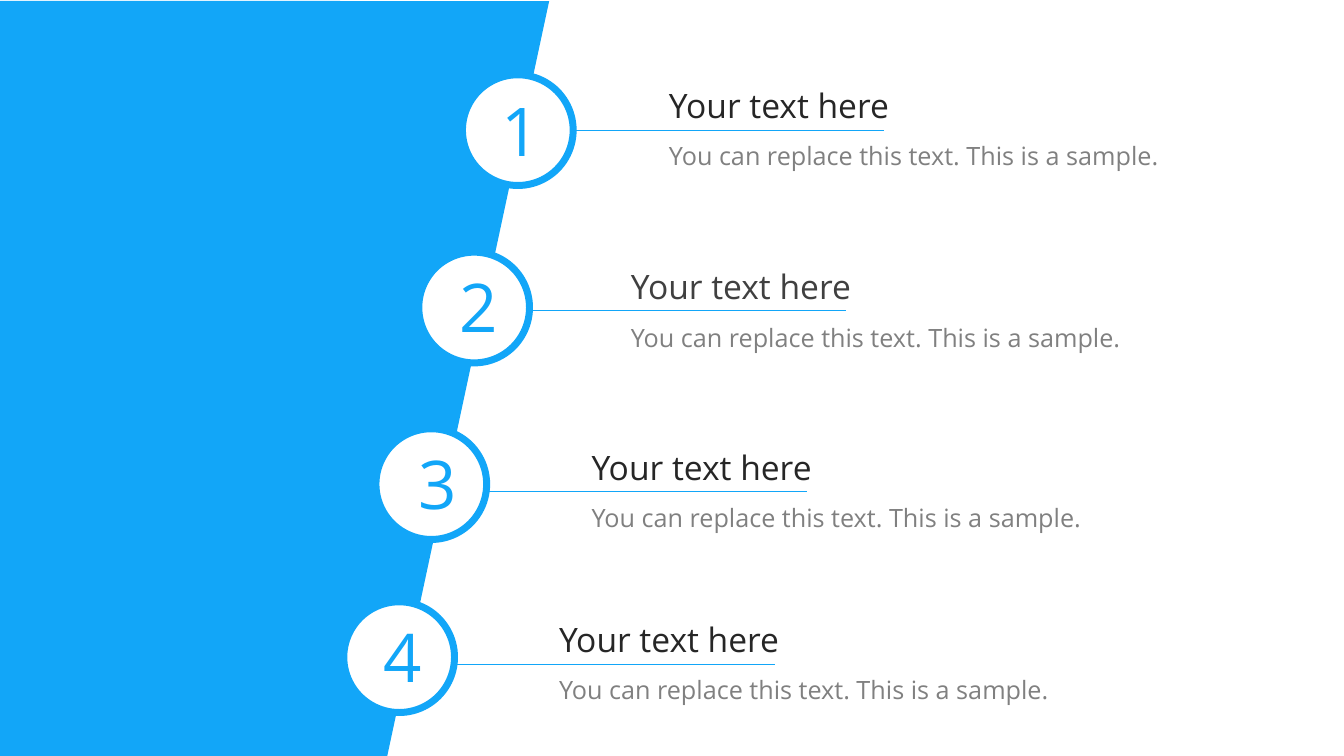
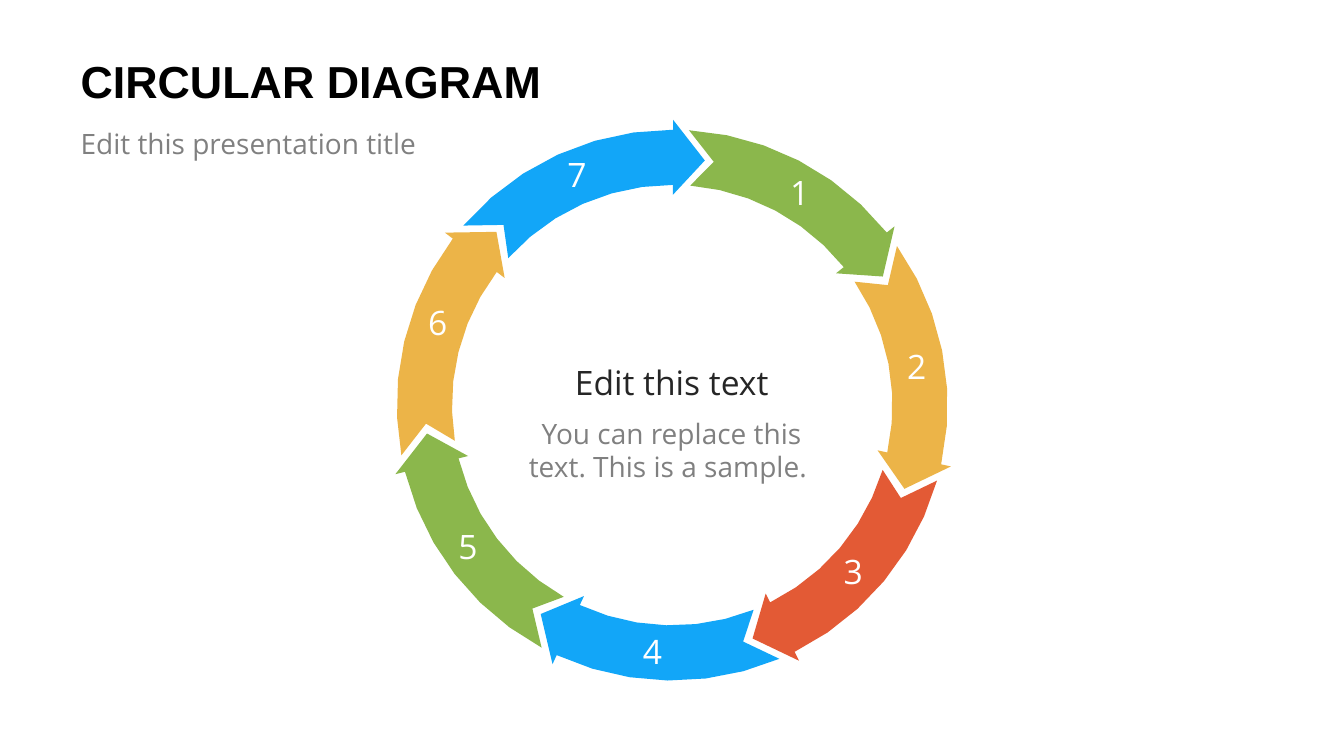
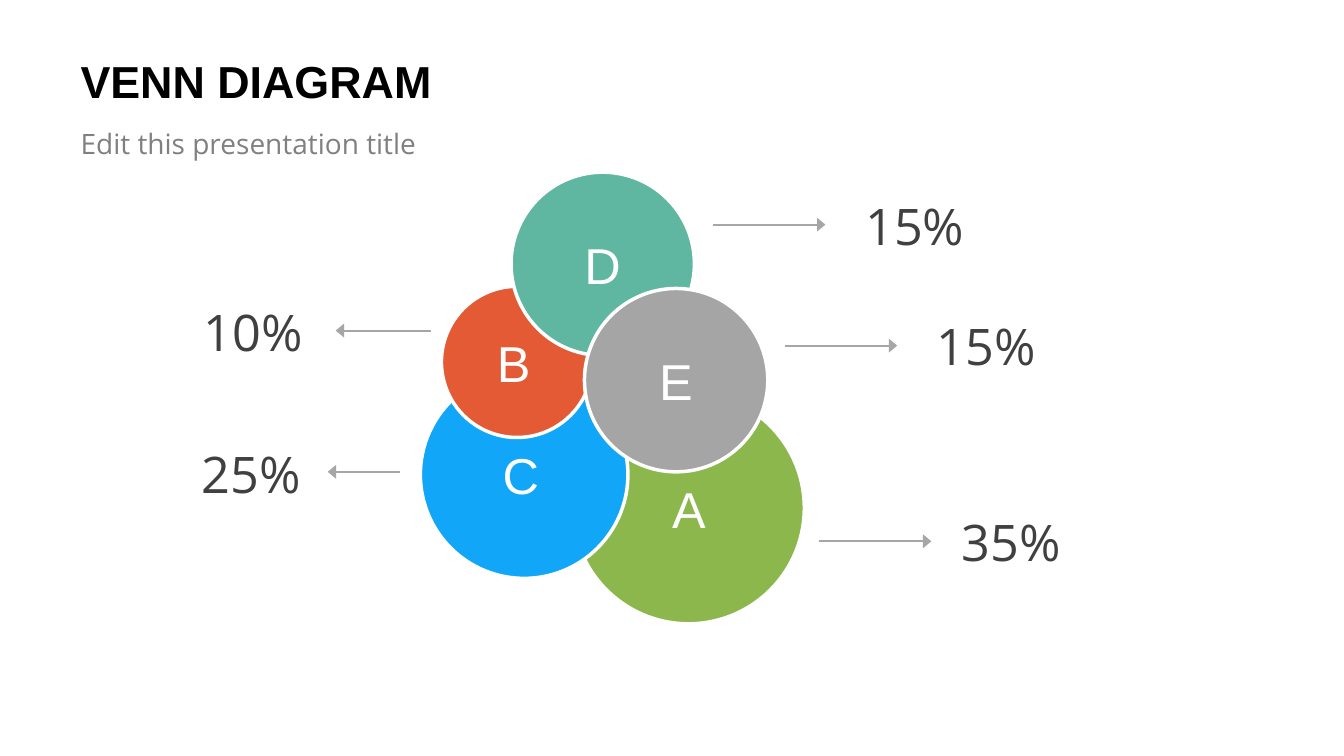
import math
from dataclasses import dataclass

import pptx
import pptx.dml.color
import pptx.enum.shapes
import pptx.enum.text
import pptx.oxml
import pptx.oxml.ns
import pptx.presentation
import pptx.slide
import pptx.util
from pptx.util import Cm

COLORS = {
    "blue": "12A6F8",
    "green": "8BB74C",
    "yellow": "ECB448",
    "red": "E35A35",
    "teal": "5FB7A2",
    "gray": "A5A5A5",
    "arrow": "A6A6A6",
    "caption": "808080",
    "dark": "404040",
    "heading": "262626",
    "black": "000000",
    "white": "FFFFFF",
}
BODY_FONT = "Open Sans"
TITLE_FONT = "Arial"
HEADING = "Your text here"
SAMPLE = "You can replace this text. This is a sample."

ALIGN = pptx.enum.text.PP_ALIGN
ANCHOR = pptx.enum.text.MSO_ANCHOR
AUTO_SIZE = pptx.enum.text.MSO_AUTO_SIZE
Slide = pptx.slide.Slide
Point = tuple[float, float]
Box = tuple[float, float, float, float]


@dataclass(frozen=True)
class TextStyle:
    size: int
    color: str
    font: str = BODY_FONT
    bold: bool = False
    align: ALIGN = ALIGN.LEFT
    anchor: ANCHOR = ANCHOR.TOP
    wrap: bool = True
    grow: bool = True
    inset: Point = (0.25, 0.13)


@dataclass(frozen=True)
class Step:
    number: str
    center: Point
    number_box: Box
    line_y: float
    caption_corner: Point
    heading_color: str = "heading"


@dataclass(frozen=True)
class Segment:
    number: str
    color: str
    label_corner: Point


@dataclass(frozen=True)
class VennCircle:
    letter: str
    center: Point
    diameter: float
    color: str
    letter_box: Box
    percent: str
    percent_corner: Point
    arrow_start: float
    arrow_end: float
    arrow_y: float


HEADER = {"grow": False, "inset": (0.33, 0.18)}
TITLE = TextStyle(32, "black", TITLE_FONT, bold=True, anchor=ANCHOR.MIDDLE, **HEADER)
SUBTITLE = TextStyle(20, "caption", **HEADER)
STEP_NUMBER = TextStyle(48, "blue", align=ALIGN.CENTER, anchor=ANCHOR.MIDDLE, wrap=False)
STEP_CAPTION = TextStyle(18, "caption")
RING_NUMBER = TextStyle(24, "white", wrap=False)
RING_HEADING = TextStyle(24, "heading", align=ALIGN.CENTER, wrap=False)
RING_CAPTION = TextStyle(20, "caption", align=ALIGN.CENTER)
VENN_LETTER = TextStyle(36, "white", TITLE_FONT, anchor=ANCHOR.MIDDLE, wrap=False)
VENN_PERCENT = TextStyle(36, "dark", align=ALIGN.CENTER, anchor=ANCHOR.MIDDLE)

STEPS = [
    Step("1", (13.05, 3.28), (12.40, 2.31, 1.24, 1.90), 3.28, (16.61, 3.40)),
    Step("2", (11.95, 7.75), (11.33, 6.76, 1.24, 1.90), 7.82, (15.65, 7.98), "dark"),
    Step("3", (10.87, 12.20), (10.29, 11.20, 1.24, 1.90), 12.39, (14.66, 12.52)),
    Step("4", (10.06, 16.56), (9.42, 15.47, 1.35, 2.11), 16.74, (13.84, 16.87)),
]

SEGMENTS = [
    Segment("1", "green", (19.66, 4.19)),
    Segment("2", "yellow", (22.61, 8.59)),
    Segment("3", "red", (21.01, 13.74)),
    Segment("4", "blue", (15.95, 15.77)),
    Segment("5", "green", (11.30, 13.11)),
    Segment("6", "yellow", (10.54, 7.49)),
    Segment("7", "blue", (14.05, 3.76)),
]
RING_CENTER = (16.94, 10.21)
OUTER, MIDDLE, INNER = 6.94, 6.22, 5.55
BARB = 0.25
RING_STEP = 51.2
RING_GAP = 3.5
RING_END = 360.2
ARC_PARTS = 6

# Listed from back to front
VENN = [
    VennCircle("A", (17.35, 12.80), 5.84, "green", (16.69, 11.96, 1.30, 1.70),
               "35%", (23.72, 12.75), 20.65, 23.47, 13.64),
    VennCircle("C", (13.21, 11.96), 5.23, "blue", (12.42, 10.97, 1.60, 1.98),
               "25%", (4.57, 11.02), 10.08, 8.26, 11.89),
    VennCircle("B", (13.03, 9.12), 3.81, "red", (12.27, 8.13, 1.52, 1.98),
               "10%", (4.62, 7.44), 10.85, 8.46, 8.33),
    VennCircle("D", (15.19, 6.65), 4.62, "teal", (14.48, 5.66, 1.60, 1.98),
               "15%", (21.29, 4.78), 17.98, 20.80, 5.66),
    VennCircle("E", (17.04, 9.58), 4.62, "gray", (16.36, 8.69, 1.37, 1.80),
               "15%", (23.09, 7.80), 19.79, 22.61, 8.71),
]


# Shared drawing functions
def rgb(name: str) -> pptx.dml.color.RGBColor:
    return pptx.dml.color.RGBColor.from_string(COLORS[name])


def add_text(slide: Slide, text: str, style: TextStyle, box: Box) -> None:
    shape = slide.shapes.add_textbox(*(Cm(length) for length in box))
    frame = shape.text_frame
    frame.word_wrap = style.wrap
    frame.auto_size = AUTO_SIZE.SHAPE_TO_FIT_TEXT if style.grow else AUTO_SIZE.NONE
    frame.vertical_anchor = style.anchor
    frame.margin_left = frame.margin_right = Cm(style.inset[0])
    frame.margin_top = frame.margin_bottom = Cm(style.inset[1])
    paragraph = frame.paragraphs[0]
    paragraph.text = text
    paragraph.alignment = style.align
    paragraph.font.name = style.font
    paragraph.font.size = pptx.util.Pt(style.size)
    paragraph.font.bold = style.bold
    paragraph.font.color.rgb = rgb(style.color)


def add_circle(slide: Slide, center: Point, diameter: float,
               fill: str, line: str, line_width: float) -> None:
    left, top = (value - diameter / 2 for value in center)
    circle = slide.shapes.add_shape(
        pptx.enum.shapes.MSO_SHAPE.OVAL, Cm(left), Cm(top), Cm(diameter), Cm(diameter))
    circle.shadow.inherit = False
    circle.fill.solid()
    circle.fill.fore_color.rgb = rgb(fill)
    circle.line.color.rgb = rgb(line)
    circle.line.width = pptx.util.Pt(line_width)


def add_polygon(slide: Slide, points: list[Point], fill: str) -> None:
    corners = [(Cm(x), Cm(y)) for x, y in points]
    builder = slide.shapes.build_freeform(*corners[0])
    builder.add_line_segments(corners[1:], close=True)
    polygon = builder.convert_to_shape()
    polygon.shadow.inherit = False
    polygon.fill.solid()
    polygon.fill.fore_color.rgb = rgb(fill)
    polygon.line.fill.background()


def add_line(slide: Slide, start: float, end: float, y: float,
             color: str, width: float, arrow: bool = False) -> None:
    connector = slide.shapes.add_connector(
        pptx.enum.shapes.MSO_CONNECTOR.STRAIGHT, Cm(start), Cm(y), Cm(end), Cm(y))
    connector.line.color.rgb = rgb(color)
    connector.line.width = pptx.util.Pt(width)
    properties = connector._element.spPr
    namespace = pptx.oxml.ns.nsdecls("a")
    if arrow:
        tail = pptx.oxml.parse_xml(f'<a:tailEnd {namespace} type="triangle" w="lg" len="med"/>')
        connector.line._get_or_add_ln().append(tail)
    properties.append(pptx.oxml.parse_xml(f"<a:effectLst {namespace}/>"))


def add_slide(presentation: pptx.presentation.Presentation, title: str = "") -> Slide:
    slide = presentation.slides.add_slide(presentation.slide_layouts[6])
    if title:
        add_text(slide, title, TITLE, (1.7, 1.04, 21.59, 1.98))
        add_text(slide, "Edit this presentation title", SUBTITLE, (1.7, 3.02, 11, 1.42))
    return slide


# Slide 1: numbered steps along a slanted panel
def build_steps(presentation: pptx.presentation.Presentation) -> None:
    slide = add_slide(presentation)
    add_polygon(slide, [(0, 0.02), (13.84, 0.03), (9.76, 19.05), (0, 19.05)], "blue")
    for step in STEPS:
        left, top = step.caption_corner
        add_line(slide, left - 2.4, left + 5.68, step.line_y, "blue", 0.75)
        add_circle(slide, step.center, 2.79, "white", "blue", 5)
        add_text(slide, SAMPLE, STEP_CAPTION, (left, top, 14.43, 1.02))
        add_text(slide, HEADING, TextStyle(24, step.heading_color), (left, top - 1.4, 6.65, 1.07))
        add_text(slide, step.number, STEP_NUMBER, step.number_box)


# Slide 2: ring of arrows
def ring_point(radius: float, angle: float) -> Point:
    """Point at an angle in degrees, clockwise from the top of the ring."""
    radians = math.radians(angle)
    return (RING_CENTER[0] + radius * math.sin(radians),
            RING_CENTER[1] - radius * math.cos(radians))


def ring_arc(radius: float, start: float, end: float) -> list[Point]:
    step = (end - start) / ARC_PARTS
    return [ring_point(radius, start + part * step) for part in range(ARC_PARTS + 1)]


def ring_arrow(start: float, end: float) -> list[Point]:
    """Outline of one arrow with a notch at its start and a head at its end."""
    return [
        *ring_arc(OUTER, start, end),
        ring_point(OUTER + BARB, end),
        ring_point(MIDDLE, end + 7.4),
        ring_point(INNER - BARB, end),
        *ring_arc(INNER, end, start + 1.2),
        ring_point(MIDDLE, start + 6.2),
    ]


def build_ring(presentation: pptx.presentation.Presentation) -> None:
    slide = add_slide(presentation, "CIRCULAR DIAGRAM")
    for index, segment in enumerate(SEGMENTS):
        is_last = index == len(SEGMENTS) - 1
        end = RING_END if is_last else (index + 1) * RING_STEP
        add_polygon(slide, ring_arrow(index * RING_STEP + RING_GAP, end), segment.color)
        add_text(slide, segment.number, RING_NUMBER, (*segment.label_corner, 0.99, 1.27))
    add_text(slide, SAMPLE + " ", RING_CAPTION, (12.9, 10.36, 8.05, 1.96))
    add_text(slide, "Edit this text", RING_HEADING, (14.2, 8.99, 5.46, 1.27))


# Slide 3: overlapping circles with shares
def build_venn(presentation: pptx.presentation.Presentation) -> None:
    slide = add_slide(presentation, "VENN DIAGRAM")
    for circle in VENN:
        add_circle(slide, circle.center, circle.diameter, circle.color, "white", 2.5)
        add_text(slide, circle.letter, VENN_LETTER, circle.letter_box)
        add_line(slide, circle.arrow_start, circle.arrow_end, circle.arrow_y,
                 "arrow", 1.5, arrow=True)
        add_text(slide, circle.percent, VENN_PERCENT, (*circle.percent_corner, 3.53, 1.8))


def main() -> None:
    presentation = pptx.Presentation()
    presentation.slide_width = Cm(33.87)
    presentation.slide_height = Cm(19.05)
    build_steps(presentation)
    build_ring(presentation)
    build_venn(presentation)
    presentation.save("out.pptx")


if __name__ == "__main__":
    main()
